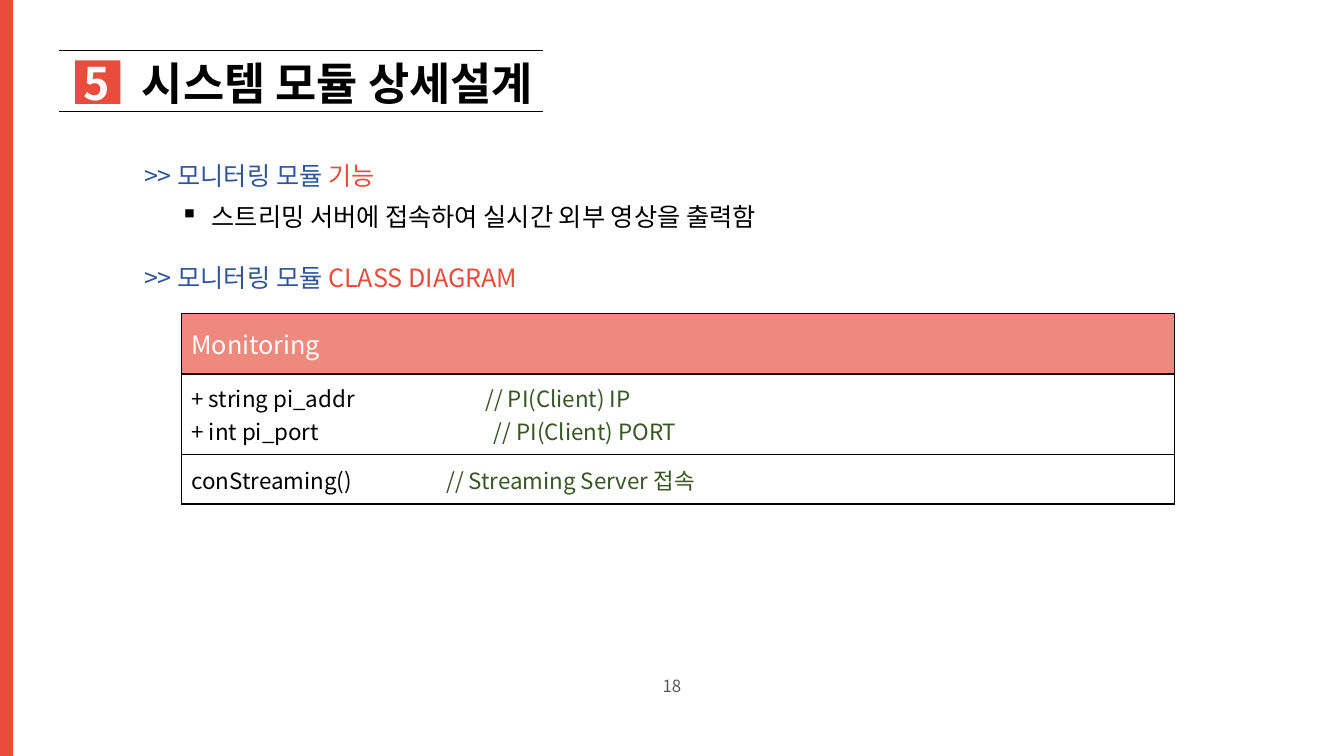
from lxml import etree
from pptx import Presentation
from pptx.dml.color import RGBColor
from pptx.enum.shapes import MSO_CONNECTOR, MSO_SHAPE
from pptx.enum.text import MSO_ANCHOR, PP_ALIGN
from pptx.oxml.ns import qn
from pptx.util import Pt

RECTANGLE = MSO_SHAPE.RECTANGLE
STRAIGHT = MSO_CONNECTOR.STRAIGHT
MIDDLE = MSO_ANCHOR.MIDDLE
LEFT, CENTER = PP_ALIGN.LEFT, PP_ALIGN.CENTER

RED = RGBColor(0xE7, 0x4C, 0x3C)
SALMON = RGBColor(0xEF, 0x88, 0x7D)
BLUE = RGBColor(0x2F, 0x55, 0x97)
GREEN = RGBColor(0x38, 0x57, 0x23)
GRAY = RGBColor(0x59, 0x59, 0x59)
BLACK = RGBColor(0, 0, 0)
WHITE = RGBColor(0xFF, 0xFF, 0xFF)
FONT = "Noto Sans CJK KR"

# Content: a line is a list of (text, colour) runs
TITLE = [("5", WHITE), ("\t시스템 모듈 상세설계", BLACK)]
HEADINGS = [
    (110.9, [(">> 모니터링 모듈 ", BLUE), ("기능", RED)]),
    (183.6, [(">> 모니터링 모듈 ", BLUE), ("CLASS DIAGRAM", RED)]),
]
FEATURE = [("스트리밍 서버에 접속하여 실시간 외부 영상을 출력함", BLACK)]
PAGE_NUMBER = [("18", GRAY)]

# Class diagram rows: height, fill, text size, lines as (runs, tab position)
CLASS_ROWS = [
    (43.2, SALMON, 18, [([("Monitoring", WHITE)], None)]),
    (57.6, WHITE, 16, [
        ([("+ string pi_addr", BLACK), ("\t// PI(Client) IP", GREEN)], 210),
        ([("+ int pi_port", BLACK), ("\t// PI(Client) PORT", GREEN)], 216),
    ]),
    (35.3, WHITE, 16, [
        ([("conStreaming()", BLACK), ("\t// Streaming Server 접속", GREEN)], 182),
    ]),
]
TABLE_LEFT, TABLE_TOP, TABLE_WIDTH = 129.6, 223.9, 709.2
RULE_LEFT, RULE_RIGHT, RULE_TOPS = 42.5, 388.1, (36, 79.9)


def write_line(paragraph, runs, size, bold=False, tab=None, align=LEFT):
    paragraph.alignment = align
    for text, color in runs:
        run = paragraph.add_run()
        run.text = text
        run.font.size = Pt(size)
        run.font.bold = bold
        run.font.color.rgb = color
        run.font.name = FONT
        east_asian = etree.SubElement(run._r.get_or_add_rPr(), qn("a:ea"))
        east_asian.set("typeface", FONT)
    if tab:
        tabs = etree.SubElement(paragraph._p.get_or_add_pPr(), qn("a:tabLst"))
        etree.SubElement(tabs, qn("a:tab"), pos=str(Pt(tab)), algn="l")


def prepare_frame(frame):
    frame.word_wrap = True
    frame.vertical_anchor = MIDDLE
    frame.margin_top = frame.margin_bottom = 0


def add_text(slide, left, top, width, runs, size, align=LEFT):
    box = slide.shapes.add_textbox(Pt(left), Pt(top), Pt(width), Pt(28.8))
    prepare_frame(box.text_frame)
    paragraph = box.text_frame.paragraphs[0]
    write_line(paragraph, runs, size, align=align)
    return paragraph


def add_bullet(paragraph, indent):
    properties = paragraph._p.get_or_add_pPr()
    properties.set("marL", str(Pt(indent)))
    properties.set("indent", str(-Pt(indent)))
    etree.SubElement(properties, qn("a:buChar"), char="▪")


def add_block(slide, left, top, width, height):
    block = slide.shapes.add_shape(RECTANGLE, Pt(left), Pt(top), Pt(width), Pt(height))
    block.shadow.inherit = False
    block.fill.solid()
    block.fill.fore_color.rgb = RED
    block.line.fill.background()
    return block


def add_rule(slide, top):
    rule = slide.shapes.add_connector(
        STRAIGHT, Pt(RULE_LEFT), Pt(top), Pt(RULE_RIGHT), Pt(top))
    rule.line.color.rgb = BLACK
    rule.line.width = Pt(0.5)
    etree.SubElement(rule._element.spPr, qn("a:effectLst"))


def add_borders(cell):
    properties = cell._tc.get_or_add_tcPr()
    for side in ("lnL", "lnR", "lnT", "lnB"):
        border = etree.SubElement(properties, qn(f"a:{side}"), w=str(Pt(1)))
        fill = etree.SubElement(border, qn("a:solidFill"))
        etree.SubElement(fill, qn("a:srgbClr"), val=str(BLACK))


def add_class_table(slide):
    total_height = sum(row[0] for row in CLASS_ROWS)
    table = slide.shapes.add_table(
        len(CLASS_ROWS), 1, Pt(TABLE_LEFT), Pt(TABLE_TOP),
        Pt(TABLE_WIDTH), Pt(total_height)).table
    table.first_row = table.horz_banding = False
    for index, (height, color, size, lines) in enumerate(CLASS_ROWS):
        table.rows[index].height = Pt(height)
        cell = table.cell(index, 0)
        add_borders(cell)
        cell.fill.solid()
        cell.fill.fore_color.rgb = color
        cell.vertical_anchor = MIDDLE
        frame = cell.text_frame
        for number, (runs, tab) in enumerate(lines):
            paragraph = frame.add_paragraph() if number else frame.paragraphs[0]
            write_line(paragraph, runs, size, tab=tab)


def main():
    presentation = Presentation()
    presentation.slide_width, presentation.slide_height = Pt(960), Pt(540)
    slide = presentation.slides.add_slide(presentation.slide_layouts[5])

    badge = add_block(slide, 53.6, 43.2, 32.4, 31)
    title = slide.shapes.title
    title.left, title.top, title.width, title.height = Pt(52.6), Pt(36), Pt(393.1), Pt(46.1)
    prepare_frame(title.text_frame)
    write_line(title.text_frame.paragraphs[0], TITLE, 32, bold=True, tab=41.5)
    badge._element.addnext(title._element)  # the number sits on the badge

    add_block(slide, -2.2, 0, 11.5, 540)
    add_text(slide, 372, 475.2, 216, PAGE_NUMBER, 12, CENTER)
    for top in RULE_TOPS:
        add_rule(slide, top)
    for top, runs in HEADINGS:
        add_text(slide, 95.8, top, 421.9, runs, 18)
    add_bullet(add_text(slide, 121.7, 140.4, 587.5, FEATURE, 18), 22.5)
    add_class_table(slide)
    presentation.save("out.pptx")


if __name__ == "__main__":
    main()
